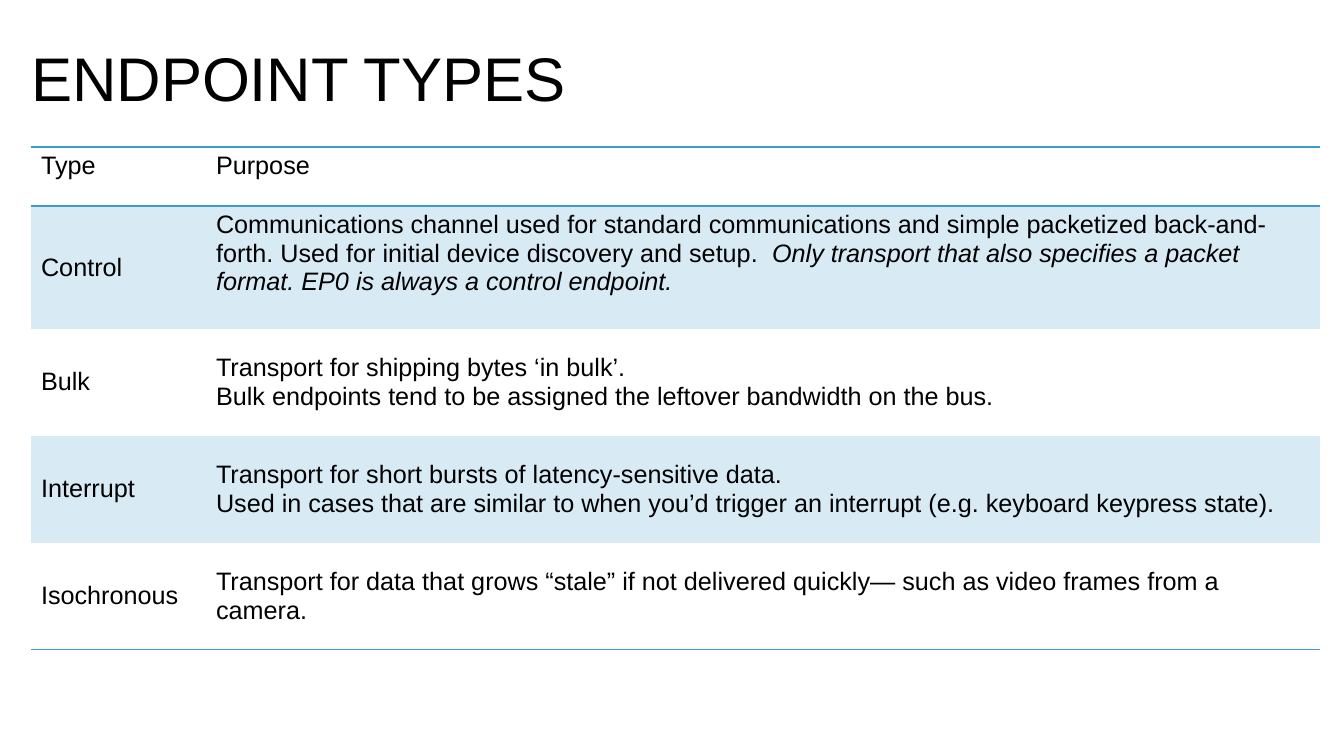
"""Build the slide that lists the USB endpoint types."""
from lxml import etree
from pptx import Presentation
from pptx import util as u
from pptx.dml.color import RGBColor
from pptx.enum import text
from pptx.oxml import ns

TITLE = "ENDPOINT TYPES"
HEADER = ("Type", "Purpose")
ENDPOINTS = [
    ("Control", "Communications channel used for standard communications and simple "
     "packetized back-and-forth. Used for initial device discovery and setup.  "),
    ("Bulk", "Transport for shipping bytes ‘in bulk’. \n"
     "Bulk endpoints tend to be assigned the leftover bandwidth on the bus."),
    ("Interrupt", "Transport for short bursts of latency-sensitive data. \n"
     "Used in cases that are similar to when you’d trigger an interrupt "
     "(e.g. keyboard keypress state)."),
    ("Isochronous", "Transport for data that grows “stale” if not delivered quickly— "
     "such as video frames from a camera."),
]
CONTROL_NOTE = ("Only transport that also specifies a packet format. "
                "EP0 is always a control endpoint.")

SLIDE_SIZE = (1344, 756)
TITLE_BOX = (21, 27, 959, 93)
TABLE_LEFT, TABLE_TOP = 31, 147
COLUMN_WIDTHS = (175, 1114)
ROW_HEIGHTS = (59, 122, 107, 107, 107)
CONTROL_BOTTOM_MARGIN = 33
EDGES = {0: ("lnT", "lnB"), len(ENDPOINTS): ("lnB",)}

FONT = "Arial"
BLACK = RGBColor(0x00, 0x00, 0x00)
BLUE = RGBColor(0x3D, 0x9C, 0xCC)
PALE_BLUE = RGBColor(0xD8, 0xEB, 0xF5)
PLAIN_STYLE = "{2D5ABB26-0587-4C30-8999-92F81FD0307C}"


def px(length):
    return u.Emu(round(length * 914400 / 100.8))


def format_runs(para, size):
    for span in para.runs:
        span.font.name = FONT
        span.font.size = u.Pt(size)
        span.font.color.rgb = BLACK


def add_title(page):
    title = page.shapes.title
    title.left, title.top, title.width, title.height = map(px, TITLE_BOX)
    frame = title.text_frame
    frame.text = TITLE
    frame.word_wrap = True
    frame.auto_size = text.MSO_AUTO_SIZE.NONE
    frame.vertical_anchor = text.MSO_ANCHOR.BOTTOM
    para = frame.paragraphs[0]
    para.alignment = text.PP_ALIGN.LEFT
    para.line_spacing = 0.9
    format_runs(para, 44)


def add_border(cell, edge):
    properties = cell._tc.get_or_add_tcPr()
    line = etree.SubElement(properties, ns.qn(f"a:{edge}"), w=str(u.Pt(1)))
    fill = etree.SubElement(line, ns.qn("a:solidFill"))
    etree.SubElement(fill, ns.qn("a:srgbClr"), val=str(BLUE))


def add_endpoint_table(page):
    rows = [HEADER, *ENDPOINTS]
    frame = page.shapes.add_table(
        len(rows), len(HEADER), px(TABLE_LEFT), px(TABLE_TOP),
        px(sum(COLUMN_WIDTHS)), px(sum(ROW_HEIGHTS)))
    table = frame.table
    table.first_row = table.horz_banding = False
    table._tbl.tblPr.find(ns.qn("a:tableStyleId")).text = PLAIN_STYLE
    for column, width in zip(table.columns, COLUMN_WIDTHS):
        column.width = px(width)
    for index, (row, height) in enumerate(zip(table.rows, ROW_HEIGHTS)):
        row.height = px(height)
        for cell, wording in zip(row.cells, rows[index]):
            cell.text_frame.paragraphs[0].text = wording
            cell.vertical_anchor = text.MSO_ANCHOR.MIDDLE if index else text.MSO_ANCHOR.TOP
            for edge in EDGES.get(index, ()):
                add_border(cell, edge)
            if index % 2:
                cell.fill.solid()
                cell.fill.fore_color.rgb = PALE_BLUE
            else:
                cell.fill.background()
    control = table.cell(1, 1)
    control.margin_bottom = px(CONTROL_BOTTOM_MARGIN)
    note = control.text_frame.paragraphs[0].add_run()
    note.text = CONTROL_NOTE
    note.font.italic = True
    for cell in table.iter_cells():
        format_runs(cell.text_frame.paragraphs[0], 18)


def main():
    deck = Presentation()
    deck.slide_width, deck.slide_height = map(px, SLIDE_SIZE)
    page = deck.slides.add_slide(deck.slide_layouts.get_by_name("Title Only"))
    add_title(page)
    add_endpoint_table(page)
    deck.save("out.pptx")


if __name__ == "__main__":
    main()
